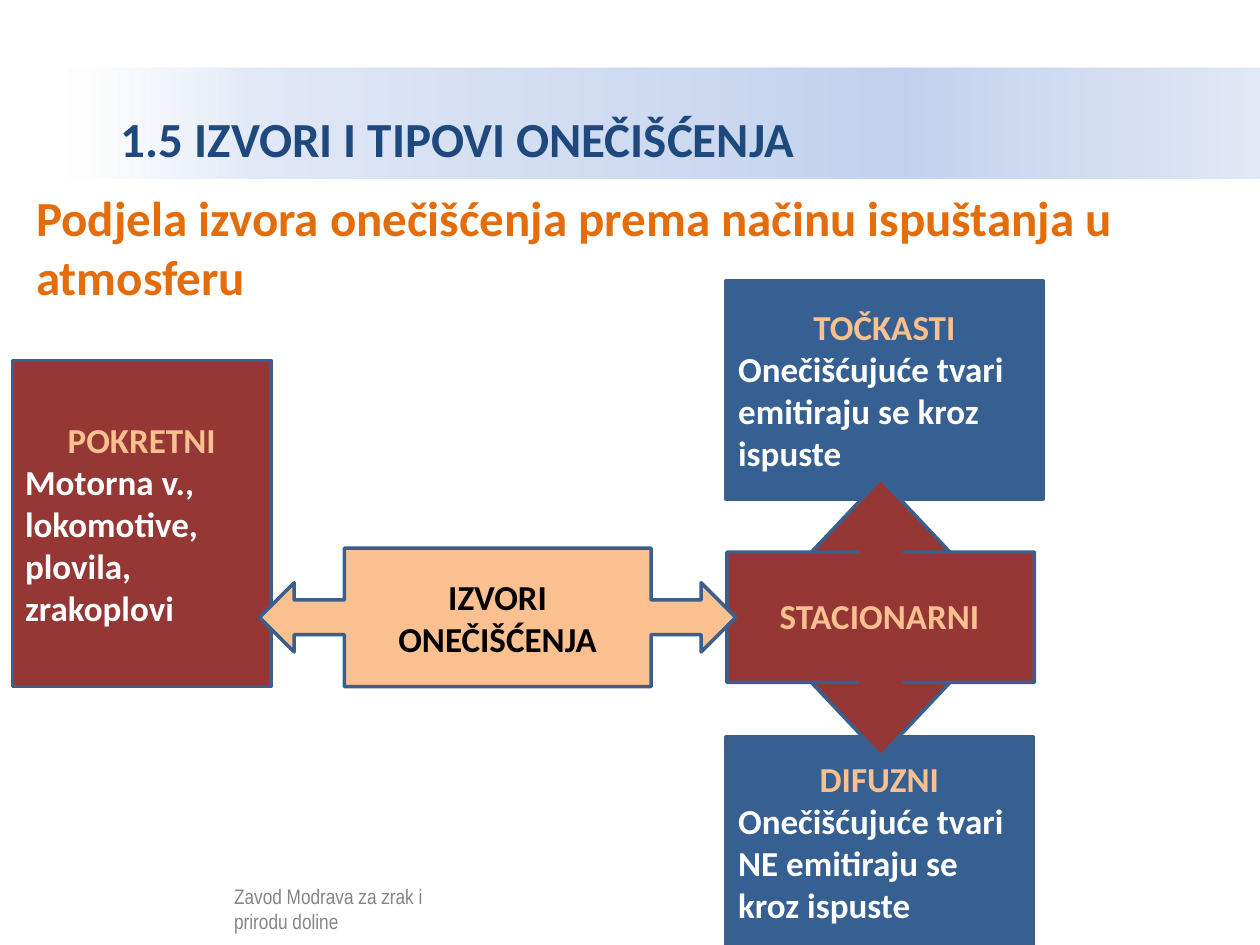
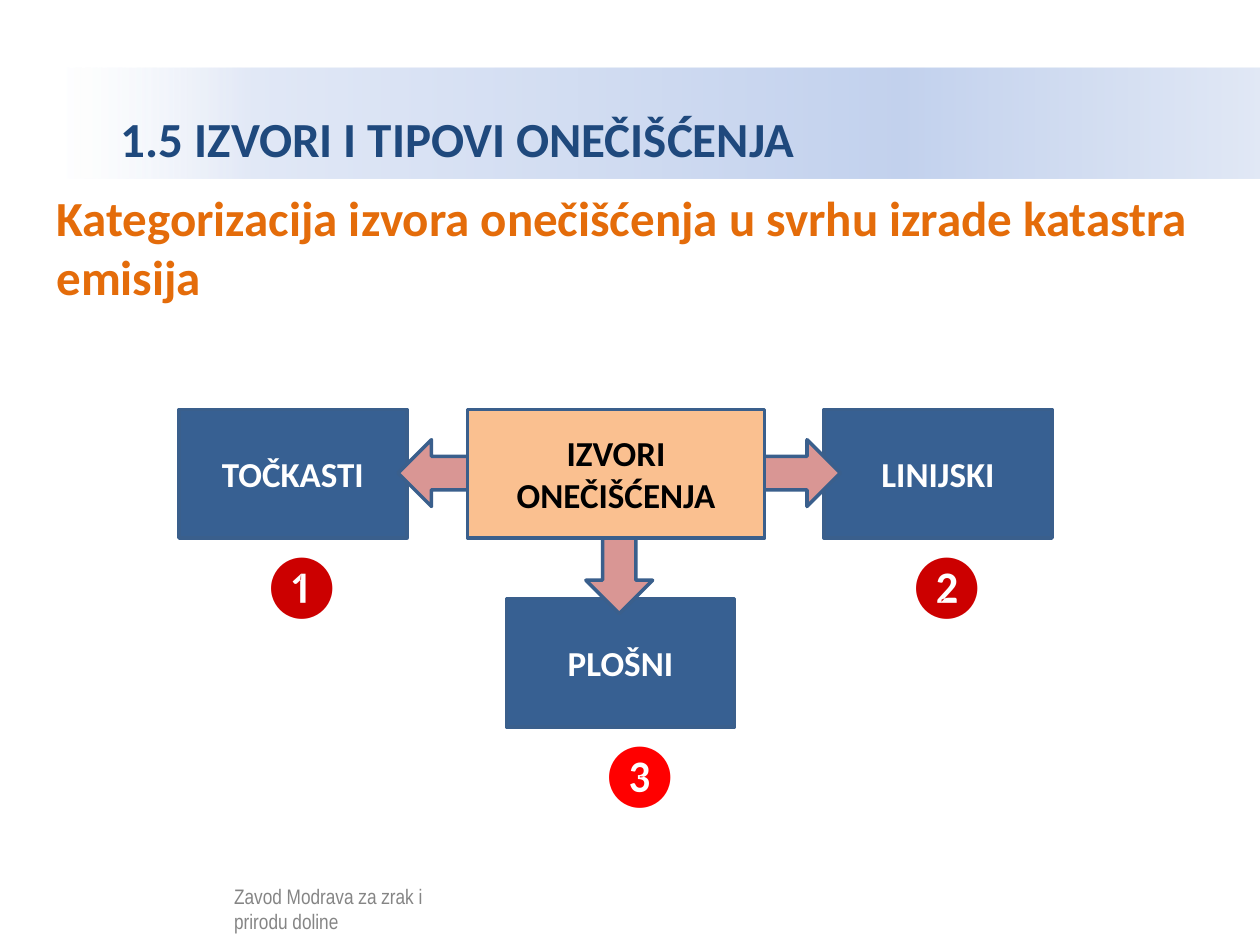
import lxml.etree
import pptx
import pptx.dml.color
import pptx.enum.shapes
import pptx.enum.text
import pptx.oxml
import pptx.oxml.ns
import pptx.util

Inches = pptx.util.Inches
Pt = pptx.util.Pt
SHAPES = pptx.enum.shapes.MSO_SHAPE
ALIGN = pptx.enum.text.PP_ALIGN
ANCHOR = pptx.enum.text.MSO_ANCHOR

COLORS = {
    "navy": "1F497D", "orange": "E46C0A", "blue": "376092", "outline": "3A5F8C",
    "red": "953735", "pink": "D99694", "peach": "FAC090", "white": "FFFFFF",
    "black": "000000", "badge": "CC0000", "bright badge": "FF0000",
}
BAND_STOPS = [(0, "FFFFFF", 52), (16, "E1E8F6", 100), (70, "C2D1ED", 100), (100, "E1E8F5", 100)]
TITLE = "1.5 IZVORI I TIPOVI ONEČIŠĆENJA"
HUB = "IZVORI ONEČIŠĆENJA"
FOOTER = "Zavod Modrava za zrak i prirodu doline"


def rgb(name):
    return pptx.dml.color.RGBColor.from_string(COLORS[name])


def style(paragraph, size, color, bold=True, align=ALIGN.LEFT, font="Calibri"):
    paragraph.alignment = align
    paragraph.font.name = font
    paragraph.font.size = Pt(size)
    paragraph.font.bold = bold
    paragraph.font.color.rgb = rgb(color)


def write(shape, lines):
    frame = shape.text_frame
    frame.word_wrap = True
    frame.text = "\n".join(text for text, _ in lines)
    for paragraph, (_, options) in zip(frame.paragraphs, lines):
        style(paragraph, **options)


def add_text(slide, box, text, **options):
    textbox = slide.shapes.add_textbox(*map(Inches, box))
    write(textbox, [(text, options)])


def add_block(slide, kind, box, fill, heading="", body=(), color="peach"):
    shape = slide.shapes.add_shape(kind, *map(Inches, box))
    shape.shadow.inherit = False
    shape.fill.solid()
    shape.fill.fore_color.rgb = rgb(fill)
    shape.line.color.rgb = rgb("outline")
    shape.line.width = Pt(2)
    if heading:
        shape.text_frame.vertical_anchor = ANCHOR.MIDDLE
        lines = [(heading, dict(size=20, color=color, align=ALIGN.CENTER))]
        lines += [(text, dict(size=20, color="white")) for text in body]
        write(shape, lines)
    return shape


def fill_band(shape):
    stops = "".join(
        f'<a:gs pos="{position * 1000}"><a:srgbClr val="{color}">'
        f'<a:alpha val="{alpha * 1000}"/></a:srgbClr></a:gs>'
        for position, color, alpha in BAND_STOPS)
    gradient = pptx.oxml.parse_xml(
        f'<a:gradFill {pptx.oxml.ns.nsdecls("a")} rotWithShape="1"><a:gsLst>{stops}</a:gsLst>'
        '<a:lin ang="0" scaled="0"/></a:gradFill>')
    properties = shape.fill._xPr
    shape.fill.background()
    properties.replace(properties.find(pptx.oxml.ns.qn("a:noFill")), gradient)


def add_title(slide, box):
    title = slide.shapes.title
    title.left, title.top, title.width, title.height = map(Inches, box)
    fill_band(title)
    write(title, [(TITLE, dict(size=28, color="navy"))])
    frame = title.text_frame
    frame.auto_size = pptx.enum.text.MSO_AUTO_SIZE.NONE
    frame.vertical_anchor = ANCHOR.MIDDLE
    frame.margin_left = Inches(0.46)
    frame.paragraphs[0].line_spacing = 1.5


def add_footer(slide, box):
    left, top, width, height = box
    add_text(slide, (left + 1.35, top + 0.03, 2.09, 0.45), FOOTER,
             size=12, color="black", bold=False, font="Arial Narrow")
    veil = slide.shapes.add_shape(SHAPES.RECTANGLE, *map(Inches, box))
    veil.shadow.inherit = False
    veil.fill.solid()
    veil.fill.fore_color.rgb = rgb("white")
    veil.line.fill.background()
    color = veil.fill._xPr.find(".//" + pptx.oxml.ns.qn("a:srgbClr"))
    lxml.etree.SubElement(color, pptx.oxml.ns.qn("a:alpha"), val="52000")


def add_slide(presentation, subtitle, subtitle_left):
    slide = presentation.slides.add_slide(presentation.slide_layouts[5])
    add_title(slide, (0.5, 0.54, 9.5, 0.88))
    add_footer(slide, (0.41, 6.93, 3.82, 0.48))
    add_text(slide, (subtitle_left, 1.44, 9.37, 1.04), subtitle, size=28, color="orange")
    return slide


def add_callout(slide, box, fill, adjustments, heading="", color="black"):
    callout = add_block(slide, SHAPES.LEFT_RIGHT_ARROW_CALLOUT, box, fill, heading, color=color)
    for index, value in enumerate(adjustments):
        callout.adjustments[index] = value
    return callout


def add_release_diagram(slide, left, top):
    column = left + 5.66
    add_block(slide, SHAPES.RECTANGLE, (column, top + 3.62, 2.44, 1.65), "blue",
              "DIFUZNI", ["Onečišćujuće tvari NE emitiraju se kroz ispuste"])
    add_block(slide, SHAPES.RECTANGLE, (column, top, 2.52, 1.73), "blue",
              "TOČKASTI", ["Onečišćujuće tvari emitiraju se kroz ispuste"])
    stationary = add_callout(slide, (column + 0.13, top + 1.45, 2.2, 2.44), "red",
                             (0.164, 0.25, 0.265, 0.644))
    stationary.rotation = 90
    add_block(slide, SHAPES.RECTANGLE, (left, top + 0.63, 2.05, 2.59), "red",
              "POKRETNI", ["Motorna v.,", "lokomotive,", "plovila,", "zrakoplovi"])
    add_callout(slide, (left + 1.96, top + 2.12, 3.78, 1.1), "peach",
                (0.25, 0.25, 0.25, 0.644), HUB)
    add_text(slide, (column + 0.08, top + 2.44, 2.28, 0.44), "STACIONARNI",
             size=20, color="peach", align=ALIGN.CENTER)


def add_category_diagram(slide, left, top):
    categories = [
        ("TOČKASTI", "❶", 0, 0, 0.55, "badge"),
        ("LINIJSKI", "❷", 5.12, 0, 0.55, "badge"),
        ("PLOŠNI", "❸", 2.6, 1.5, 0.63, "bright badge"),
    ]
    for name, badge, across, down, badge_shift, color in categories:
        x, y = left + across, top + down
        add_block(slide, SHAPES.RECTANGLE, (x, y, 1.81, 1.02), "blue", name, color="white")
        add_text(slide, (x + badge_shift, y + 1.03, 0.65, 0.71), badge,
                 size=36, color=color, bold=False)
    arrows = [
        (SHAPES.DOWN_ARROW, 3.23, 0.55, 0.53, 1.07),
        (SHAPES.RIGHT_ARROW, 4.18, 0.24, 1.07, 0.53),
        (SHAPES.LEFT_ARROW, 1.74, 0.24, 1.07, 0.53),
    ]
    for kind, across, down, width, height in arrows:
        add_block(slide, kind, (left + across, top + down, width, height), "pink")
    add_block(slide, SHAPES.RECTANGLE, (left + 2.29, top, 2.36, 1.02), "peach", HUB, color="black")


def main():
    presentation = pptx.Presentation()
    presentation.slide_width = Inches(10)
    presentation.slide_height = Inches(7.5)
    release_slide = add_slide(
        presentation, "Podjela izvora onečišćenja prema načinu ispuštanja u atmosferu", 0.19)
    add_release_diagram(release_slide, 0.1, 2.23)
    category_slide = add_slide(
        presentation, "Kategorizacija izvora onečišćenja u svrhu izrade katastra emisija", 0.35)
    add_category_diagram(category_slide, 1.42, 3.25)
    presentation.save("out.pptx")


if __name__ == "__main__":
    main()
